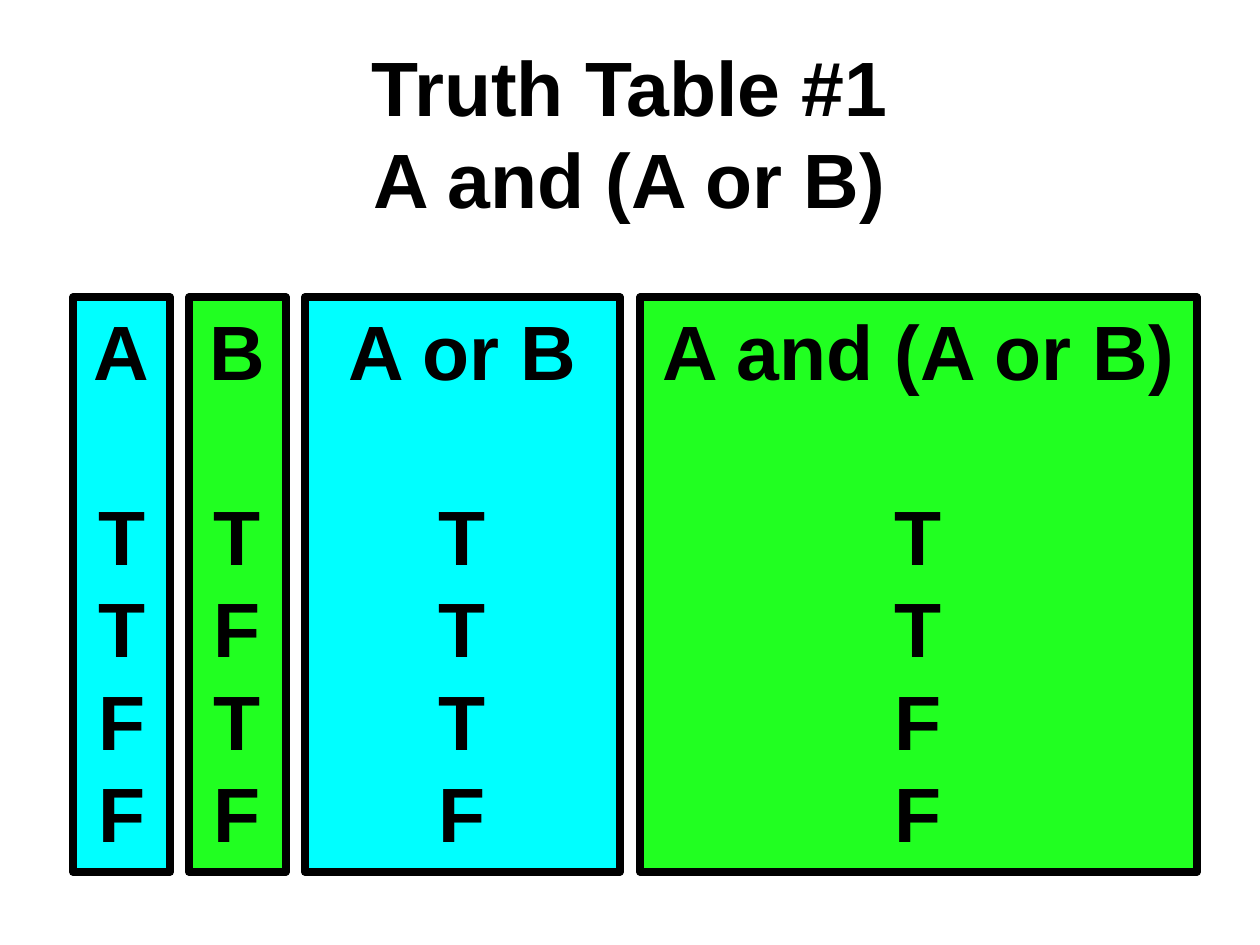
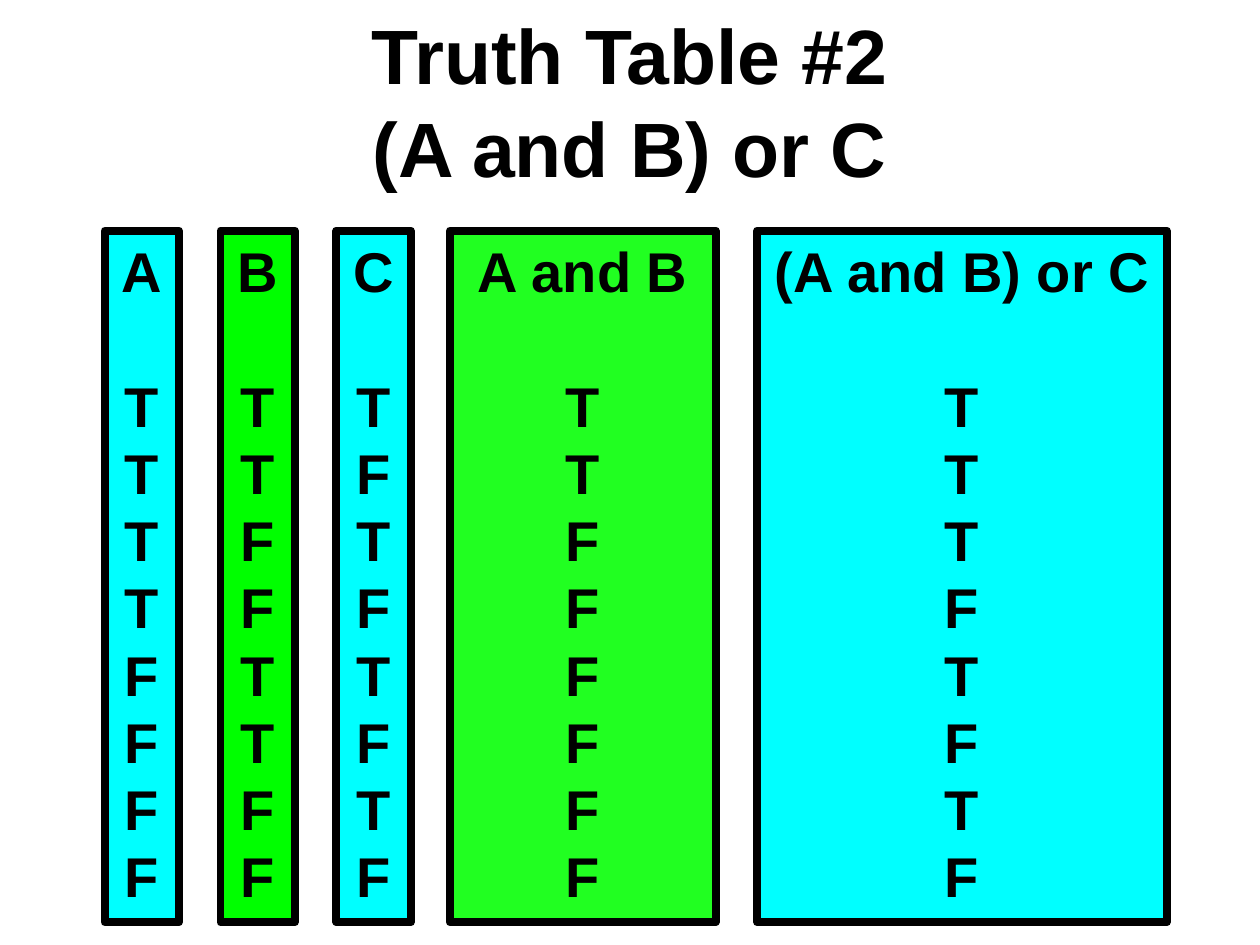
import itertools
import pptx
import pptx.util
import pptx.dml.color
import pptx.enum.shapes
import pptx.enum.text

Inches = pptx.util.Inches
Pt = pptx.util.Pt
RGBColor = pptx.dml.color.RGBColor
Anchor = pptx.enum.text.MSO_ANCHOR

BLACK = RGBColor(0x00, 0x00, 0x00)
CYAN = RGBColor(0x00, 0xFF, 0xFF)
LIME = RGBColor(0x21, 0xFF, 0x21)
GREEN = RGBColor(0x00, 0xFF, 0x00)
FONT = "Arial"
LEADING = 1.2


def write(para, text, size=44, after=0):
    para.text = text
    para.alignment = pptx.enum.text.PP_ALIGN.CENTER
    para.line_spacing = Pt(size * LEADING)
    para.space_after = Pt(after)
    para.font.name = FONT
    para.font.size = Pt(size)
    para.font.bold = True
    para.font.color.rgb = BLACK


def add_title(slide, text, top):
    box = slide.shapes.add_textbox(0, Inches(top), Inches(10), Inches(1.25))
    frame = box.text_frame
    frame.word_wrap = True
    frame.vertical_anchor = Anchor.MIDDLE
    write(frame.paragraphs[0], text)


def add_column(slide, head, marks, area, fill, size):
    rect = slide.shapes.add_shape(
        pptx.enum.shapes.MSO_SHAPE.RECTANGLE, *map(Inches, area))
    rect.shadow.inherit = False
    rect.fill.solid()
    rect.fill.fore_color.rgb = fill
    rect.line.color.rgb = BLACK
    rect.line.width = Pt(4.5)
    frame = rect.text_frame
    frame.word_wrap = False
    frame.vertical_anchor = Anchor.TOP
    write(frame.paragraphs[0], head, size=size, after=size * LEADING)
    for mark in marks:
        write(frame.add_paragraph(), mark, size=size)


def add_table(slide, count, columns, top, height, size):
    cases = list(itertools.product((True, False), repeat=count))
    for head, rule, left, width, fill in columns:
        marks = ["T" if rule(*case) else "F" for case in cases]
        add_column(slide, head, marks, (left, top, width, height), fill, size)


def main():
    deck = pptx.Presentation()
    deck.slide_width = Inches(10)
    deck.slide_height = Inches(7.5)
    blank = deck.slide_layouts[6]

    first = deck.slides.add_slide(blank)
    add_title(first, "Truth Table #1\vA and (A or B)", 0.42)
    add_table(first, 2, [
        ("A", lambda a, b: a, 0.58, 0.77, CYAN),
        ("B", lambda a, b: b, 1.5, 0.77, LIME),
        ("A or B", lambda a, b: a or b, 2.42, 2.5, CYAN),
        ("A and (A or B)", lambda a, b: a and (a or b), 5.08, 4.42, LIME),
    ], top=2.36, height=4.56, size=44)

    second = deck.slides.add_slide(blank)
    add_title(second, "Truth Table #2\v(A and B) or C", 0.17)
    add_table(second, 3, [
        ("A", lambda a, b, c: a, 0.83, 0.59, CYAN),
        ("B", lambda a, b, c: b, 1.75, 0.59, GREEN),
        ("C", lambda a, b, c: c, 2.67, 0.59, CYAN),
        ("A and B", lambda a, b, c: a and b, 3.57, 2.11, LIME),
        ("(A and B) or C", lambda a, b, c: (a and b) or c, 6.01, 3.25, CYAN),
    ], top=1.83, height=5.49, size=32)

    deck.save("out.pptx")


if __name__ == "__main__":
    main()
